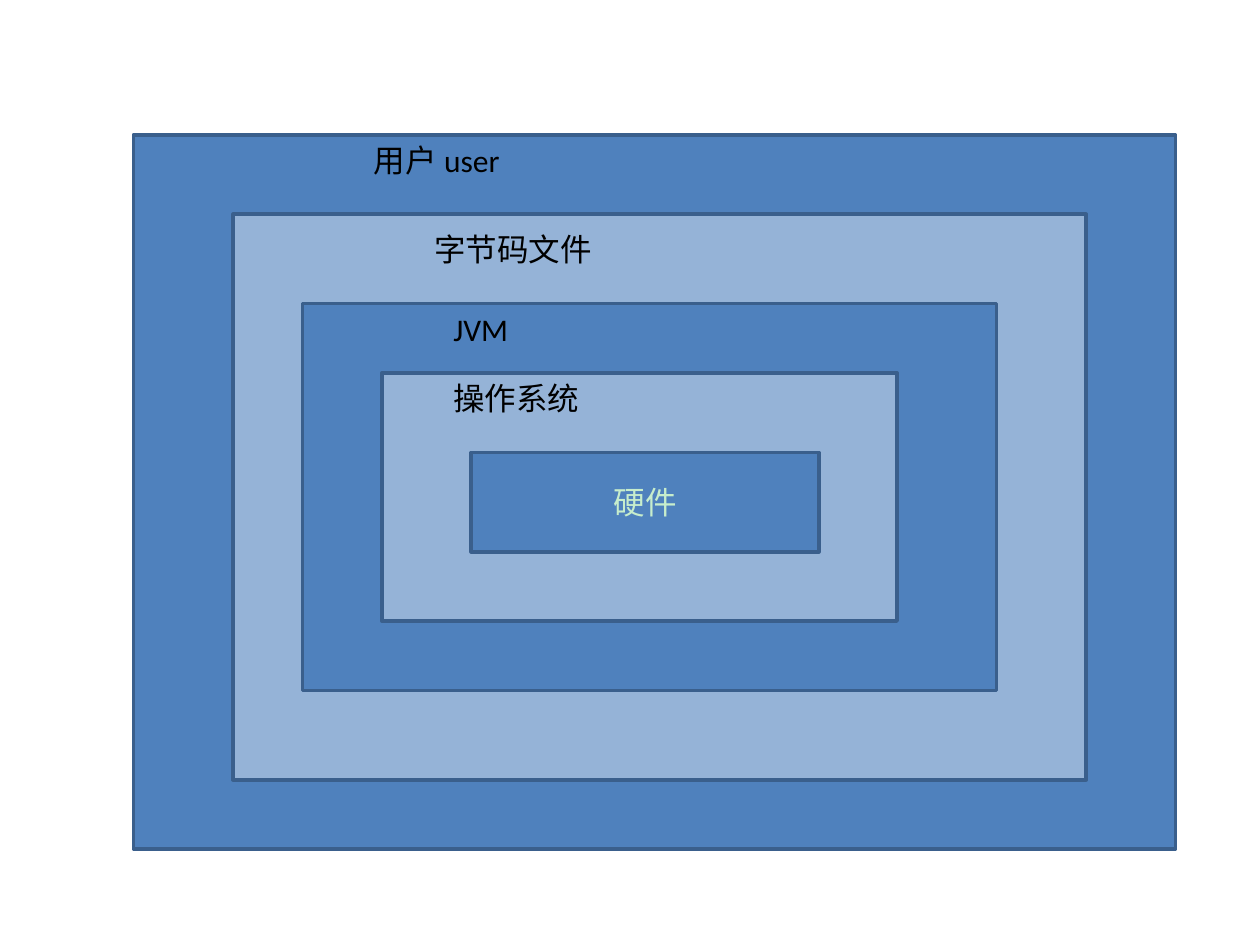
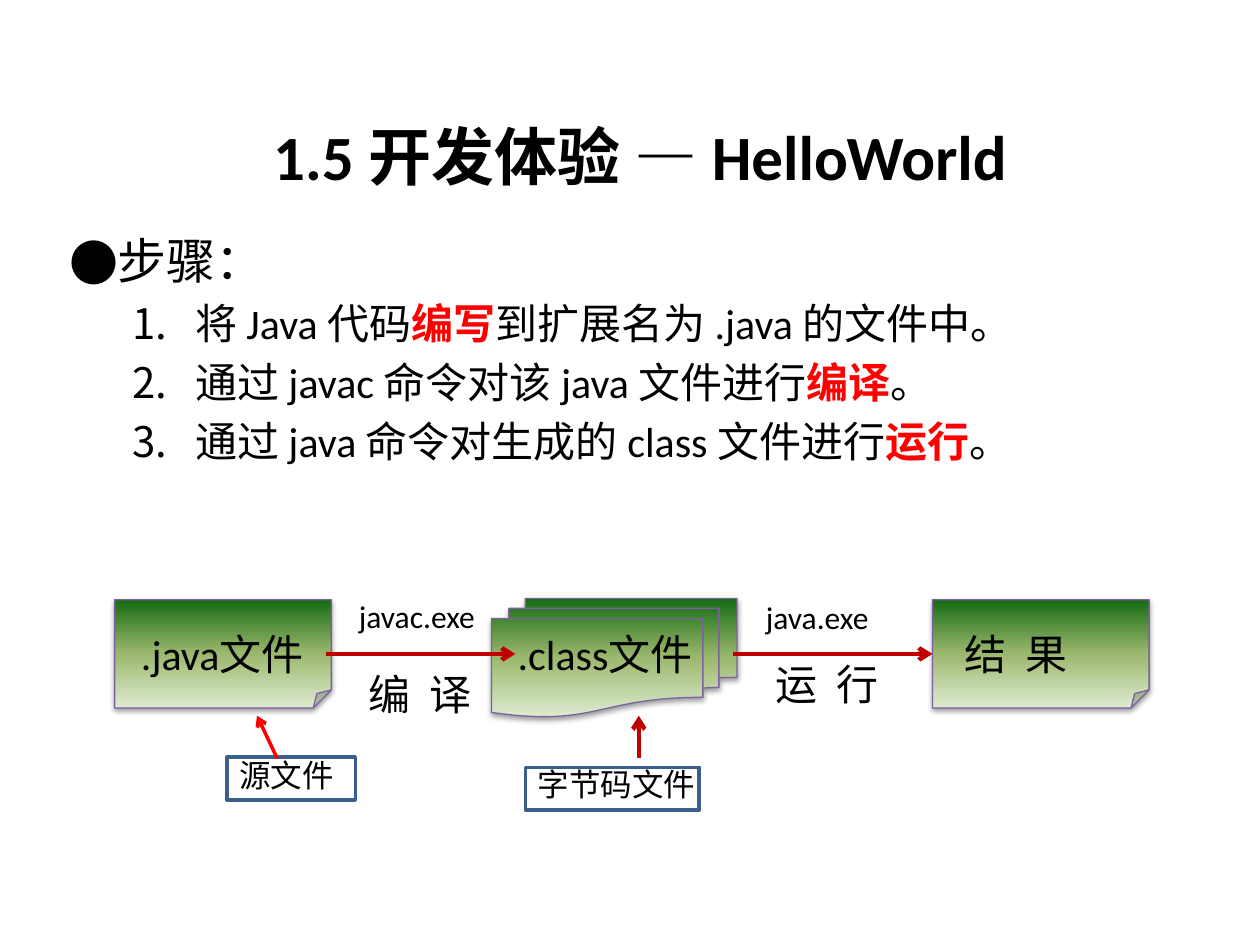
from lxml import etree
from pptx import Presentation
from pptx.dml.color import RGBColor
from pptx.enum.shapes import MSO_CONNECTOR, MSO_SHAPE
from pptx.enum.text import MSO_ANCHOR, MSO_AUTO_SIZE, PP_ALIGN
from pptx.oxml import parse_xml
from pptx.oxml.ns import qn
from pptx.util import Inches, Pt

RECT = MSO_SHAPE.RECTANGLE
FOLD = MSO_SHAPE.FOLDED_CORNER
MULTI = MSO_SHAPE.FLOWCHART_MULTIDOCUMENT
STRAIGHT = MSO_CONNECTOR.STRAIGHT
MIDDLE = MSO_ANCHOR.MIDDLE
CENTER = PP_ALIGN.CENTER
GROW = MSO_AUTO_SIZE.SHAPE_TO_FIT_TEXT

BLACK = RGBColor(0x00, 0x00, 0x00)
MINT = RGBColor(0xC7, 0xED, 0xCC)
BLUE = RGBColor(0x4F, 0x81, 0xBD)
PALE = RGBColor(0x95, 0xB3, 0xD7)
NAVY = RGBColor(0x3A, 0x5F, 0x8C)
PURPLE = RGBColor(0x7D, 0x60, 0xA0)
RED = RGBColor(0xFF, 0x00, 0x00)
CRIMSON = RGBColor(0xC0, 0x00, 0x00)
GREENS = ((0, RGBColor(0xDD, 0xEB, 0xCF)), (50, RGBColor(0x9C, 0xB8, 0x6E)),
          (100, RGBColor(0x15, 0x6B, 0x13)))

LATIN = "Calibri"
ASIAN = "Noto Sans CJK SC"
SMALL = {"size": Pt(18)}
LARGE = {"size": Pt(24)}
HEAD = {"size": Pt(36), "bold": True}
MARK = {"size": Pt(24), "bold": True, "color": RED}
NS = 'xmlns:a="http://schemas.openxmlformats.org/drawingml/2006/main"'


def add_run(para, text, style):
    run = para.add_run()
    run.text = text
    look = {"name": LATIN, "color": BLACK, **style}
    run.font.color.rgb = look.pop("color")
    for key, value in look.items():
        setattr(run.font, key, value)
    props = run.font._element
    props.set("lang", "zh-CN")
    etree.SubElement(props, qn("a:ea"), typeface=ASIAN)
    return props


def add_text(slide, box, text, style=SMALL, wrap=True, gap=0):
    label = slide.shapes.add_textbox(*map(Inches, box))
    frame = label.text_frame
    frame.word_wrap = wrap
    frame.auto_size = GROW
    props = add_run(frame.paragraphs[0], text, style)
    if gap:
        props.set("spc", str(gap))


def add_box(slide, kind, box, fill, line=NAVY, width=2):
    shape = slide.shapes.add_shape(kind, *map(Inches, box))
    shape.shadow.inherit = False
    if fill is None:
        shape.fill.background()
    else:
        shape.fill.solid()
        shape.fill.fore_color.rgb = fill
    shape.line.color.rgb = line
    shape.line.width = Pt(width)
    return shape


def add_paper(slide, kind, box):
    paper = add_box(slide, kind, box, None, PURPLE, 0.75)
    props = paper._element.spPr
    stops = "".join(f'<a:gs pos="{at * 1000}"><a:srgbClr val="{color}"/></a:gs>'
                    for at, color in GREENS)
    fade = parse_xml(f'<a:gradFill {NS} rotWithShape="1"><a:gsLst>{stops}</a:gsLst>'
                     '<a:lin ang="16200000" scaled="0"/></a:gradFill>')
    props.replace(props.find(qn("a:noFill")), fade)
    props.find(qn("a:effectLst")).append(parse_xml(
        f'<a:outerShdw {NS} blurRad="40000" dist="20000" dir="5400000" rotWithShape="0">'
        '<a:srgbClr val="000000"><a:alpha val="38000"/></a:srgbClr></a:outerShdw>'))
    return paper


def add_arrow(slide, start, end, color=CRIMSON, width=2.5):
    arrow = slide.shapes.add_connector(STRAIGHT, *map(Inches, (*start, *end)))
    arrow.line.color.rgb = color
    arrow.line.width = Pt(width)
    etree.SubElement(arrow.line._get_or_add_ln(), qn("a:tailEnd"), type="arrow")
    etree.SubElement(arrow._element.spPr, qn("a:effectLst"))
    return arrow


def add_layers(slide, left, top):
    layers = (
        (0, 0, 8.27, 5.67, "用户 user", 1.81, 0),
        (0.79, 0.63, 6.77, 4.49, "字节码文件", 1.5, 0.08),
        (1.34, 1.34, 5.51, 3.07, "JVM", 1.1, 0),
        (1.97, 1.89, 4.09, 1.97, "操作系统", 0.47, 0),
    )
    for index, (x, y, width, height, name, right, down) in enumerate(layers):
        box = (left + x, top + y, width, height)
        add_box(slide, RECT, box, PALE if index % 2 else BLUE)
        add_text(slide, (box[0] + right, box[1] + down, 3, 0.4), name)
    core = add_box(slide, RECT, (left + 2.68, top + 2.52, 2.76, 0.79), BLUE)
    core.text_frame.vertical_anchor = MIDDLE
    para = core.text_frame.paragraphs[0]
    para.alignment = CENTER
    add_run(para, "硬件", {**SMALL, "color": MINT})


def set_bullet(para, margin, indent, tag, **values):
    props = para._p.get_or_add_pPr()
    props.set("marL", str(Inches(margin)))
    props.set("indent", str(Inches(indent)))
    space = etree.SubElement(props, qn("a:spcBef"))
    etree.SubElement(space, qn("a:spcPct"), val="20000")
    etree.SubElement(props, qn("a:buFont"), typeface=ASIAN)
    etree.SubElement(props, qn(tag), **values)


def add_steps(slide, box):
    steps = (
        ("将 Java 代码", "编写", "到扩展名为 .java 的文件中。"),
        ("通过 javac 命令对该 java 文件进行", "编译", "。"),
        ("通过 java 命令对生成的 class 文件进行", "运行", "。"),
    )
    frame = slide.shapes.add_textbox(*map(Inches, box)).text_frame
    frame.word_wrap = True
    para = frame.paragraphs[0]
    set_bullet(para, 0.38, -0.38, "a:buChar", char="●")
    add_run(para, "步骤：", {"size": Pt(28)})
    for step in steps:
        para = frame.add_paragraph()
        para.level = 1
        set_bullet(para, 1, -0.5, "a:buAutoNum", type="arabicPeriod")
        for text, style in zip(step, (LARGE, MARK, LARGE)):
            add_run(para, text, style)


def add_flow(slide, left, top):
    def put(x, y, *size):
        return (left + x, top + y, *size)

    result = add_paper(slide, FOLD, put(6.49, 0.01, 1.72, 0.86))
    add_paper(slide, MULTI, put(2.99, 0, 1.95, 0.94))
    add_paper(slide, FOLD, put(0, 0.01, 1.72, 0.86))
    labels = (
        (0.11, 0.19, 1.65, ".java文件", LARGE, 0),
        (3.1, 0.19, 1.73, ".class文件", LARGE, 0),
        (6.65, 0.19, 1.34, "结 果", LARGE, 270),
        (1.84, -0.06, 1.34, "javac.exe", SMALL, 0),
        (1.92, 0.51, 1.34, "编 译", LARGE, 270),
        (5.07, -0.05, 1.34, "java.exe", SMALL, 0),
        (5.15, 0.43, 1.26, "运 行", LARGE, 270),
    )
    for x, y, width, text, style, gap in labels:
        add_text(slide, put(x, y, width, 0.5), text, style, gap=gap)
    notes = (
        (0.89, 1.26, 1.02, "源文件", LATIN, 0.06),
        (3.26, 1.34, 1.38, "字节码文件", ASIAN, 0.07),
    )
    for x, y, width, text, font, rise in notes:
        add_box(slide, RECT, put(x, y, width, 0.34), None)
        add_text(slide, put(x, y - rise, 1.7, 0.4), text, {**SMALL, "name": font})
    add_arrow(slide, put(1.29, 1.27), put(1.13, 0.93), RED, 2)
    add_arrow(slide, put(4.16, 1.27), put(4.16, 0.93))
    add_arrow(slide, put(1.68, 0.44), put(3.18, 0.44))
    add_arrow(slide, put(4.91, 0.44), put(6.49, 0.44)).end_connect(result, 1)


def main():
    deck = Presentation()
    deck.slide_width, deck.slide_height = Inches(10), Inches(7.5)
    blank = deck.slide_layouts[6]
    add_layers(deck.slides.add_slide(blank), 1.06, 1.07)
    slide = deck.slides.add_slide(blank)
    add_text(slide, (2.07, 0.88, 6.27, 0.71), "1.5 开发体验 — HelloWorld", HEAD, wrap=False)
    add_steps(slide, (0.45, 1.78, 9, 2.47))
    add_flow(slide, 0.91, 4.75)
    deck.save("out.pptx")


if __name__ == "__main__":
    main()
